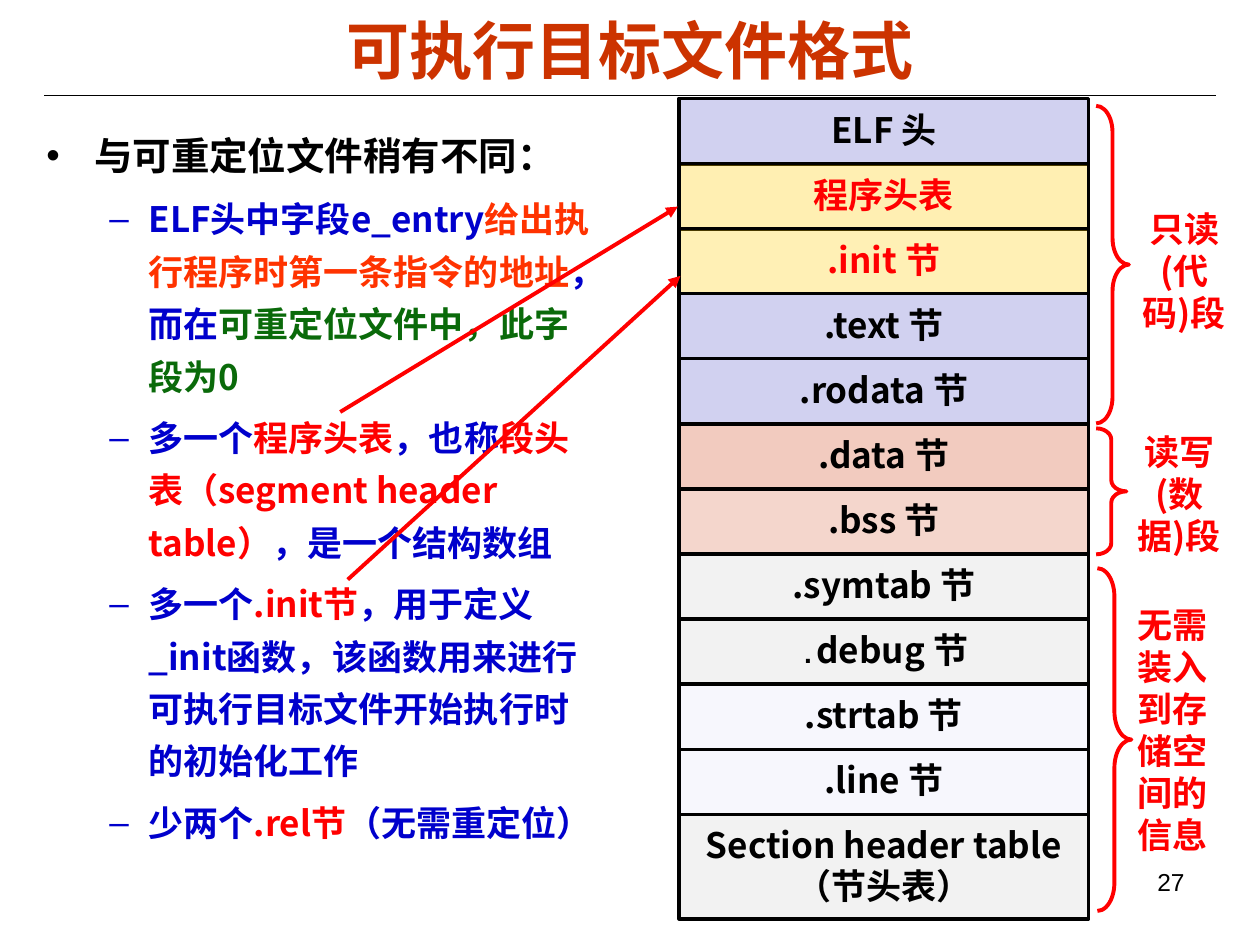
import pptx
import pptx.util
import pptx.dml.color
import pptx.enum.shapes
import pptx.enum.text
import pptx.oxml
import pptx.oxml.ns
from pptx.util import Inches

FONT = "Noto Sans CJK SC"
C = {"black": "000000", "title": "CC3300", "red": "FF0000", "blue": "0000CC",
     "orange": "FF3300", "green": "0A6A0A", "lilac": "D1D1F0", "yellow": "FFCC00",
     "gray": "F2F2F2", "pale": "D6D6F5"}
ALIGN = pptx.enum.text.PP_ALIGN
SHAPE = pptx.enum.shapes.MSO_SHAPE

ROWS = [
    ("ELF 头", "lilac", 100, "black"),
    ("程序头表", "yellow", 30, "red"),
    (".init 节", "yellow", 29, "red"),
    (".text 节", "lilac", 100, "black"),
    (".rodata 节", "lilac", 100, "black"),
    (".data 节", "title", 25, "black"),
    (".bss 节", "title", 20, "black"),
    (".symtab 节", "gray", 100, "black"),
    (".debug 节", "gray", 100, "black"),
    (".strtab 节", "pale", 19, "black"),
    (".line 节", "pale", 19, "black"),
    ("Section header table\n（节头表）", "gray", 100, "black"),
]

SEGMENTS = [
    ("只读(代码)段", (8.7, 0.84, 0.26, 2.52), 0.81, (8.93, 1.6, 0.94, 1.44), ALIGN.CENTER),
    ("读写(数据)段", (8.7, 3.4, 0.24, 1), 0.37, (8.89, 3.37, 0.94, 1.44), ALIGN.CENTER),
    ("无需装入到存储空间的信息", (8.71, 4.51, 0.27, 2.72), 0.83, (8.93, 4.74, 0.76, 2.1), ALIGN.LEFT),
]

POINTS = [
    [("ELF头中字段e_entry", "blue"), ("给出执行程序时第一条指令的地址", "orange"),
     ("，而在", "blue"), ("可重定位文件中，此字段为0", "green")],
    [("多一个", "blue"), ("程序头表", "red"), ("，也称", "blue"),
     ("段头表（segment header table）", "red"), ("，是一个结构数组", "blue")],
    [("多一个", "blue"), (".init节", "red"),
     ("，用于定义_init函数，该函数用来进行可执行目标文件开始执行时的初始化工作", "blue")],
    [("少两个", "blue"), (".rel节", "red"), ("（无需重定位）", "blue")],
]


def rgb(name):
    """Return the named colour."""
    return pptx.dml.color.RGBColor.from_string(C[name])


def child(parent, tag, **attrs):
    """Append a drawing element to parent and return it."""
    el = pptx.oxml.ns.qn(tag)
    el = parent.makeelement(el, attrs)
    parent.append(el)
    return el


def add_run(p, text, size=20, color="black", font=FONT, bold=True):
    """Add a formatted run to a paragraph."""
    r = p.add_run()
    r.text = text
    r.font.size = pptx.util.Pt(size)
    r.font.bold = bold
    r.font.name = font
    r.font.color.rgb = rgb(color)
    child(r.font._element, "a:ea", typeface=FONT)


def add_text(shapes, box, text, align=ALIGN.LEFT, before=0, **fmt):
    """Add a wrapped one-paragraph text box."""
    tf = shapes.add_textbox(*map(Inches, box)).text_frame
    tf.word_wrap = True
    p = tf.paragraphs[0]
    p.alignment = align
    p.space_before = pptx.util.Pt(before)
    add_run(p, text, **fmt)


def add_line(shapes, start, end, color, width, arrow=False):
    """Add a straight line, with an arrowhead at its end if asked."""
    cn = shapes.add_connector(pptx.enum.shapes.MSO_CONNECTOR.STRAIGHT,
                              *map(Inches, start + end))
    cn.line.color.rgb = rgb(color)
    cn.line.width = pptx.util.Pt(width)
    if arrow:
        child(cn.line._get_or_add_ln(), "a:tailEnd", type="triangle")
    child(cn.element.spPr, "a:effectLst")


def add_row(shapes, box, text, fill, alpha, color):
    """Add one bordered section of the file layout."""
    sp = shapes.add_shape(SHAPE.RECTANGLE, *map(Inches, box))
    sp.fill.solid()
    sp.fill.fore_color.rgb = rgb(fill)
    if alpha < 100:
        solid = sp.element.spPr.find(pptx.oxml.ns.qn("a:solidFill"))
        child(solid[0], "a:alpha", val=str(alpha * 1000))
    sp.line.color.rgb = rgb("black")
    sp.line.width = pptx.util.Pt(2)
    sp.shadow.inherit = False
    tf = sp.text_frame
    tf.word_wrap = False
    tf.vertical_anchor = pptx.enum.text.MSO_ANCHOR.MIDDLE
    for i, line in enumerate(text.split("\n")):
        p = tf.add_paragraph() if i else tf.paragraphs[0]
        p.alignment = ALIGN.CENTER
        p.line_spacing = 0.98 if fill == "lilac" and color == "black" and "ELF" in text or "\n" in text else 0.94
        if line.startswith(".debug"):
            add_run(p, ".", size=16, font="Courier New")
            line = line[1:]
        add_run(p, line, color=color)


def add_segment(shapes, text, brace, curve, box, align):
    """Add a brace and its label as one group."""
    g = shapes.add_group_shape().shapes
    sp = g.add_shape(SHAPE.RIGHT_BRACE, *map(Inches, brace))
    sp.adjustments[0] = curve
    sp.fill.background()
    sp.line.color.rgb = rgb("red")
    sp.line.width = pptx.util.Pt(2.25)
    sp.shadow.inherit = False
    add_text(g, box, text, align=align, before=12.5, color="red")


def add_bullet(p, runs, char, color, margin, hang, before, level=0, size=20):
    """Fill a bulleted paragraph with coloured runs."""
    p.level = level
    p.line_spacing = 1.25
    p.space_before = pptx.util.Pt(before)
    pPr = p._p.get_or_add_pPr()
    pPr.set("marL", str(Inches(margin)))
    pPr.set("indent", str(-Inches(hang)))
    child(child(pPr, "a:buClr"), "a:srgbClr", val=C[color])
    child(pPr, "a:buFont", typeface="Arial")
    child(pPr, "a:buChar", char=char)
    for text, run_color in runs:
        add_run(p, text, size=size, color=run_color)


def add_title(s, text):
    """Place and format the title placeholder."""
    sp = s.shapes.title
    sp.left, sp.top, sp.width, sp.height = map(Inches, (0.5, 0.09, 9, 0.61))
    sp.text_frame.vertical_anchor = pptx.enum.text.MSO_ANCHOR.MIDDLE
    p = sp.text_frame.paragraphs[0]
    p.alignment = ALIGN.CENTER
    add_run(p, text, size=36, color="title", font="Arial")


def add_points(s):
    """Add the bulleted explanation on the left."""
    tf = s.shapes.add_textbox(*map(Inches, (0.27, 0.91, 4.62, 6.26))).text_frame
    tf.word_wrap = True
    add_bullet(tf.paragraphs[0], [("与可重定位文件稍有不同：", "black")],
               "•", "black", 0.38, 0.38, 5.5, size=22)
    for runs in POINTS:
        add_bullet(tf.add_paragraph(), runs, "–", "blue", 0.81, 0.31, 5, level=1)


def main():
    """Build the slide and save it."""
    prs = pptx.Presentation()
    prs.slide_width, prs.slide_height = Inches(10), Inches(7.5)
    s = prs.slides.add_slide(prs.slide_layouts[5])
    add_line(s.shapes, (0.35, 0.76), (9.65, 0.76), "black", 0.75)
    add_title(s, "可执行目标文件格式")
    rows = s.shapes.add_group_shape().shapes
    pitch = 6.2 / 12
    for i, row in enumerate(ROWS):
        height = 0.83 if i == len(ROWS) - 1 else 0.52
        add_row(rows, (5.39, 0.78 + i * pitch, 3.25, height), *row)
    for segment in SEGMENTS:
        add_segment(s.shapes, *segment)
    add_points(s)
    add_line(s.shapes, (2.7, 3.27), (5.38, 1.64), "red", 2.25, arrow=True)
    add_line(s.shapes, (2.76, 4.6), (5.4, 2.19), "red", 2.25, arrow=True)
    add_text(s.shapes, (7.17, 6.83, 2.33, 0.52), "27", align=ALIGN.RIGHT,
             size=14, font="Arial", bold=False)
    prs.save("out.pptx")


if __name__ == "__main__":
    main()
